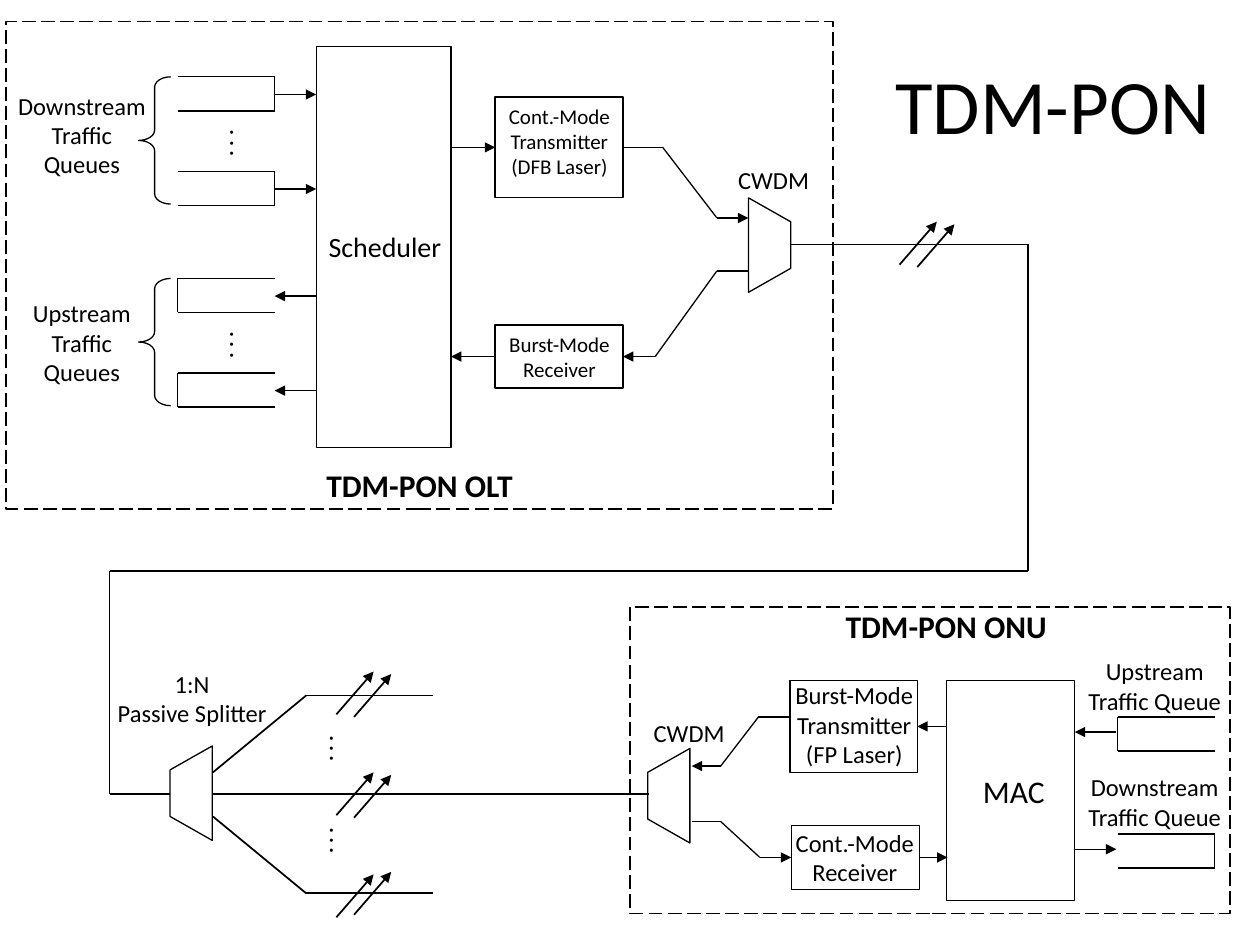
from dataclasses import dataclass
from itertools import pairwise

import pptx
import pptx.dml.color
import pptx.enum.dml
import pptx.enum.shapes
import pptx.enum.text
import pptx.oxml.ns
import pptx.util
from lxml import etree

COLUMNS, ROWS = 100, 75
SHAPE = pptx.enum.shapes.MSO_SHAPE
ALIGN = pptx.enum.text.PP_ALIGN
TOP, LEFT, BOTTOM, RIGHT = range(4)


@dataclass(frozen=True)
class Theme:
    font: str = "Calibri"
    ink: pptx.dml.color.RGBColor = pptx.dml.color.RGBColor(0, 0, 0)
    paper: pptx.dml.color.RGBColor = pptx.dml.color.RGBColor(255, 255, 255)
    title: int = 44
    heading: int = 18
    block: int = 16
    body: int = 14
    small: int = 12
    thin: float = 0.75
    fibre: float = 1


def apply(target, **formats):
    for name, value in formats.items():
        setattr(target, name, value)


class Diagram:
    """Draws on one slide; places are (left, top, width, height) in grid cells."""

    def __init__(self, deck, theme):
        self.theme = theme
        self.slide = deck.slides.add_slide(deck.slide_layouts[5])
        self.shapes = self.slide.shapes
        self.column = deck.slide_width / COLUMNS
        self.row = deck.slide_height / ROWS

    def point(self, x, y):
        return round(x * self.column), round(y * self.row)

    def place(self, left, top, width, height):
        return *self.point(left, top), *self.point(width, height)

    def style_font(self, font, size, bold=False):
        apply(font, name=self.theme.font, size=pptx.util.Pt(size), bold=bold)
        font.color.rgb = self.theme.ink

    def style_line(self, line, weight):
        line.color.rgb = self.theme.ink
        line.width = pptx.util.Pt(weight)

    def style_outline(self, shape, filled=False, weight=None):
        shape.shadow.inherit = False
        if filled:
            shape.fill.solid()
            shape.fill.fore_color.rgb = self.theme.paper
        else:
            shape.fill.background()
        self.style_line(shape.line, weight or self.theme.thin)

    def title(self, text, place):
        heading = self.shapes.title
        apply(heading, **dict(zip(("left", "top", "width", "height"), self.place(*place))))
        heading.text_frame.text = text
        heading.text_frame.vertical_anchor = pptx.enum.text.MSO_ANCHOR.MIDDLE
        paragraph = heading.text_frame.paragraphs[0]
        paragraph.alignment = ALIGN.CENTER
        self.style_font(paragraph.font, self.theme.title)

    def box(self, place, filled=False):
        block = self.shapes.add_shape(SHAPE.RECTANGLE, *self.place(*place))
        self.style_outline(block, filled)
        return block

    def frame(self, place):
        border = self.shapes.add_shape(SHAPE.RECTANGLE, *self.place(*place))
        self.style_outline(border, weight=self.theme.fibre)
        border.line.dash_style = pptx.enum.dml.MSO_LINE.LONG_DASH

    def brace(self, place):
        bracket = self.shapes.add_shape(SHAPE.LEFT_BRACE, *self.place(*place))
        bracket.adjustments[0] = 0.32
        self.style_outline(bracket)

    def label(self, text, place, size=None, bold=False, wrap=False,
              align=ALIGN.CENTER, rotation=0):
        caption = self.shapes.add_textbox(*self.place(*place))
        caption.rotation = rotation
        words = caption.text_frame
        apply(words, text=text, word_wrap=wrap,
              auto_size=pptx.enum.text.MSO_AUTO_SIZE.SHAPE_TO_FIT_TEXT)
        for paragraph in words.paragraphs:
            paragraph.alignment = align
            self.style_font(paragraph.font, size or self.theme.body, bold)

    def dots(self, left, top):
        self.label(". . .", (left, top, 4.1, 3), self.theme.small, bold=True,
                   align=ALIGN.LEFT, rotation=270)

    def route(self, *points, arrow=False, weight=None, start=None, end=None):
        """Joins points with straight connectors; start and end are (box, side)."""
        legs = []
        for a, b in pairwise(points):
            leg = self.shapes.add_connector(
                pptx.enum.shapes.MSO_CONNECTOR.STRAIGHT, *self.point(*a), *self.point(*b))
            self.style_line(leg.line, weight or self.theme.thin)
            legs.append(leg)
        if start:
            legs[0].begin_connect(*start)
        if end:
            legs[-1].end_connect(*end)
        if arrow:
            etree.SubElement(legs[-1].line._get_or_add_ln(),
                             pptx.oxml.ns.qn("a:tailEnd"), type="triangle")
        for leg in legs:
            etree.SubElement(leg._element.spPr, pptx.oxml.ns.qn("a:effectLst"))

    def queue(self, left, top, closed):
        """Draws a three-sided queue whose closed end is LEFT or RIGHT."""
        near, far = (left, left + 7.7) if closed == RIGHT else (left + 7.7, left)
        self.route((near, top), (far, top), (far, top + 2.7), (near, top + 2.7))

    def coupler(self, left, top, wide):
        """Draws a trapezoid whose wide side is LEFT or RIGHT."""
        long, short = (left, left + 3.35) if wide == LEFT else (left + 3.35, left)
        corners = [(long, top), (short, top + 1.9), (short, top + 5.6), (long, top + 7.5)]
        outline = self.shapes.build_freeform(*self.point(*corners[0]))
        outline.add_line_segments([self.point(*c) for c in corners[1:]], close=True)
        self.style_outline(outline.convert_to_shape())

    def wavelengths(self, x, y, drop=0.2):
        """Draws two slanted arrows across a fibre."""
        for left, low in ((x, y), (x + 1.4, y + drop)):
            self.route((left, low), (left + 2.95, low - 3.4), arrow=True,
                       weight=self.theme.fibre)


def draw_olt(d):
    d.frame((0.5, 1.7, 65.6, 38.7))
    d.label("TDM-PON OLT", (14.5, 36.5, 37.6, 4), d.theme.heading, bold=True, wrap=True)
    d.box((25.1, 3.7, 10.7, 31.8))
    d.label("Scheduler", (24.3, 17.7, 12.5, 3.7), d.theme.block, wrap=True)
    transmitter = d.box((39.3, 7.7, 10.15, 8), filled=True)
    d.label("Cont.-Mode\vTransmitter\v(DFB Laser)", (37.8, 7.7, 13.2, 7),
            d.theme.small, wrap=True)
    receiver = d.box((39.3, 25.8, 10.15, 5), filled=True)
    d.label("Burst-Mode\vReceiver", (37.8, 25.8, 13.2, 5), d.theme.small, wrap=True)

    for top, closed in ((6.1, RIGHT), (22.1, LEFT)):
        d.brace((11, top, 2.55, 10.1))
        d.dots(15.8, top + 3.75)
        for queue_top in (top, top + 7.5):
            d.queue(14.1, queue_top, closed)
            ends = (21.8, queue_top + 1.4), (25.1, queue_top + 1.4)
            d.route(*(ends if closed == RIGHT else ends[::-1]), arrow=True)
    d.label("Downstream\nTraffic\vQueues", (0.4, 6.7, 12.2, 8))
    d.label("Upstream\nTraffic\vQueues", (1.6, 23.2, 9.8, 8))

    d.coupler(59.4, 15.7, LEFT)
    d.label("CWDM", (56.9, 12.6, 9, 3.4))
    d.route((35.8, 11.7), (39.3, 11.7), arrow=True, end=(transmitter, LEFT))
    d.route((49.45, 11.7), (52.6, 11.7), (56.9, 17.3), (59.4, 17.3),
            arrow=True, start=(transmitter, RIGHT))
    d.route((59.4, 21.5), (56.9, 21.5), (52, 28.3), (49.45, 28.3),
            arrow=True, end=(receiver, RIGHT))
    d.route((39.3, 28.3), (35.8, 28.3), arrow=True, start=(receiver, LEFT))


def draw_fibre(d):
    fibre = d.theme.fibre
    d.route((62.7, 19.4), (81.6, 19.4), (81.6, 45.3), (8.7, 45.3), (8.7, 63), (13.5, 63),
            weight=fibre)
    d.wavelengths(71.4, 21)
    d.coupler(13.5, 59.2, RIGHT)
    d.label("1:N\nPassive Splitter", (8.3, 52.6, 13.9, 5.7))
    d.route((16.9, 63), (51.5, 63), weight=fibre)
    for split, branch in ((61.3, 55.2), (64.8, 70.9)):
        d.route((16.9, split), (24.3, branch), (34.4, branch), weight=fibre)
    for low, drop in ((56.7, 0.2), (64.7, 0.2), (72.8, -0.2)):
        d.wavelengths(26.7, low, drop)
    for top in (57.9, 65.2):
        d.dots(23.7, top)


def draw_onu(d):
    d.frame((50, 48.2, 47.6, 24.3))
    d.label("TDM-PON ONU", (56.3, 47.7, 37.6, 4), d.theme.heading, bold=True, wrap=True)
    transmitter = d.box((62.7, 54, 10.1, 7.3), filled=True)
    d.label("Burst-Mode\vTransmitter\v(FP Laser)", (61.2, 53.5, 13.2, 8), wrap=True)
    receiver = d.box((62.8, 65.5, 10.2, 5.1))
    d.label("Cont.-Mode\nReceiver", (62.1, 65.2, 11.5, 5.7))
    d.box((75.1, 54, 10.2, 17.5))
    d.label("MAC", (77, 60.8, 6.9, 4), d.theme.heading)

    d.coupler(51.4, 59.4, RIGHT)
    d.label("CWDM", (50.2, 56.5, 9, 3.4))
    d.route((75.2, 57.65), (72.8, 57.65), arrow=True, end=(transmitter, RIGHT))
    d.route((62.6, 56.9), (60.2, 56.9), (57.2, 60.8), (54.9, 60.8), arrow=True)
    d.route((54.9, 65.2), (57.2, 65.2), (60.3, 68.05), (62.8, 68.05),
            arrow=True, end=(receiver, LEFT))
    d.route((73, 68.05), (75.2, 68.05), arrow=True, start=(receiver, RIGHT))

    d.label("Upstream\vTraffic Queue", (85.3, 51.6, 12.7, 5.7))
    d.queue(88.7, 56.9, LEFT)
    d.route((88.6, 58.1), (85.3, 58.1), arrow=True)
    d.label("Downstream\nTraffic Queue", (85.3, 60.8, 12.7, 5.7))
    d.queue(88.7, 66.2, RIGHT)
    d.route((85.3, 67.4), (88.6, 67.4), arrow=True)


def main():
    deck = pptx.Presentation()
    apply(deck, slide_width=pptx.util.Inches(10), slide_height=pptx.util.Inches(7.5))
    diagram = Diagram(deck, Theme())
    diagram.title("TDM-PON", (68.5, 2, 30.1, 12.5))
    draw_olt(diagram)
    draw_fibre(diagram)
    draw_onu(diagram)
    deck.save("out.pptx")


if __name__ == "__main__":
    main()
